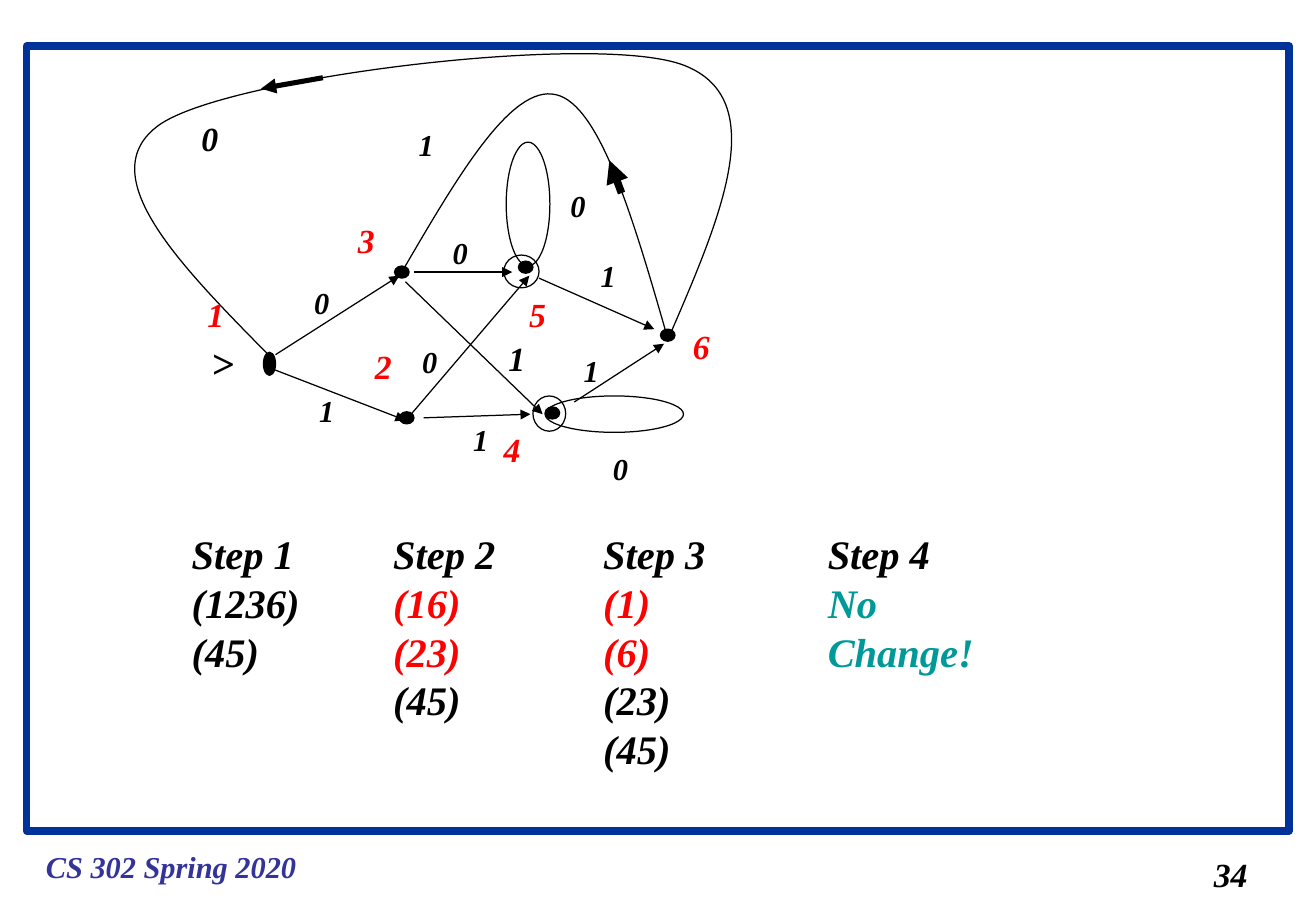
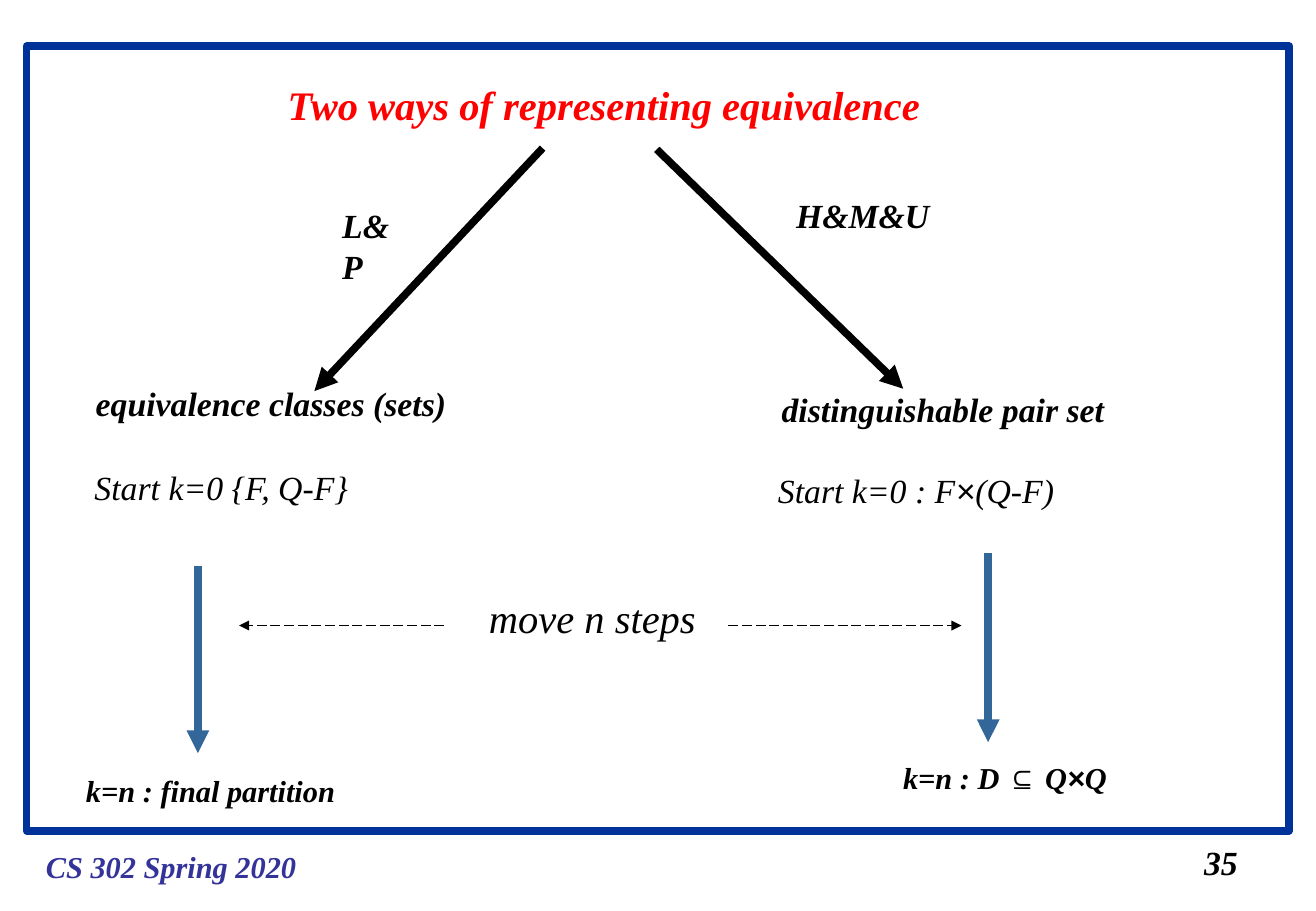
from dataclasses import dataclass

from lxml.etree import SubElement
from pptx import Presentation
from pptx.dml.color import RGBColor
from pptx.enum.dml import MSO_LINE
from pptx.enum.shapes import MSO_CONNECTOR, MSO_SHAPE
from pptx.enum.text import MSO_ANCHOR, MSO_AUTO_SIZE, PP_ALIGN
from pptx.oxml.ns import qn
from pptx.util import Inches, Pt

CELL = 0.1
BLACK, RED, TEAL = "000000", "FF0000", "009999"
FRAME_BLUE, FOOTER_BLUE, STEEL = "003399", "333399", "336699"
SERIF = {"name": "Times New Roman", "size": 20, "bold": True, "italic": True, "color": BLACK}
SYMBOL = {"name": "Arial"}


@dataclass
class Area:
    """A region of the page, measured in square grid cells from its corner."""
    left: float
    top: float

    def point(self, column, row):
        """Return the page position of a grid point."""
        return Inches(self.left + column * CELL), Inches(self.top + row * CELL)

    def box(self, column, row, width, height):
        """Return the page box of a range of grid cells."""
        return *self.point(column, row), Inches(width * CELL), Inches(height * CELL)


PAGE = Area(0, 0)


def color(code):
    """Turn a hex string into a colour."""
    return RGBColor.from_string(code)


def format_font(font, style):
    """Apply a dict of format values to a font."""
    for name, value in style.items():
        if name == "color":
            font.color.rgb = color(value)
        else:
            setattr(font, name, Pt(value) if name == "size" else value)


def fill_text(frame, lines, style):
    """Write lines, each a list of (text, style changes), into a text frame."""
    settings = {"word_wrap": False, "auto_size": MSO_AUTO_SIZE.SHAPE_TO_FIT_TEXT,
                "vertical_anchor": MSO_ANCHOR.TOP,
                "margin_left": Inches(0.1), "margin_right": Inches(0.1),
                "margin_top": Inches(0.05), "margin_bottom": Inches(0.05)}
    for name, value in settings.items():
        setattr(frame, name, value)
    for index, line in enumerate(lines):
        para = frame.add_paragraph() if index else frame.paragraphs[0]
        para.alignment = PP_ALIGN.LEFT
        for text, changes in line:
            span = para.add_run()
            span.text = text
            format_font(span.font, {**SERIF, **style, **changes})


def add_text(page, area, column, row, width, content, **style):
    """Add a text box whose height follows from its lines and size."""
    lines = [[(content, {})]] if isinstance(content, str) else content
    height = 1 + len(lines) * style.get("size", SERIF["size"]) / 6
    box = page.shapes.add_textbox(*area.box(column, row, width, height))
    fill_text(box.text_frame, lines, style)
    return box


def format_outline(shape, fill=None, line=BLACK, weight=0.75):
    """Give a shape its fill and outline, without a shadow."""
    shape.shadow.inherit = False
    if fill:
        shape.fill.solid()
        shape.fill.fore_color.rgb = color(fill)
    else:
        shape.fill.background()
    shape.line.color.rgb = color(line)
    shape.line.width = Pt(weight)


def add_ellipse(page, area, column, row, width, height, fill=None):
    """Add an ellipse around a centre point."""
    place = area.box(column - width / 2, row - height / 2, width, height)
    format_outline(page.shapes.add_shape(MSO_SHAPE.OVAL, *place), fill)


def add_arrow(page, area, start, end, weight=0.75, line=BLACK, dash=None):
    """Add a straight line with a triangle at its end."""
    arrow = page.shapes.add_connector(
        MSO_CONNECTOR.STRAIGHT, *area.point(*start), *area.point(*end))
    arrow.line.color.rgb = color(line)
    arrow.line.width = Pt(weight)
    if dash:
        arrow.line.dash_style = dash
    SubElement(arrow.get_or_add_ln(), qn("a:tailEnd")).set("type", "triangle")
    SubElement(arrow.element.spPr, qn("a:effectLst"))


def add_curve(page, area, points):
    """Add a chain of cubic curves through a start and triples of points."""
    start, *others = [area.point(*point) for point in points]
    builder = page.shapes.build_freeform(*start)
    builder.add_line_segments(others, close=False)
    curve = builder.convert_to_shape()
    outline = next(curve.element.iter(qn("a:path")))
    segments = outline.findall(qn("a:lnTo"))
    for first in range(0, len(segments), 3):
        bend = SubElement(outline, qn("a:cubicBezTo"))
        for segment in segments[first:first + 3]:
            bend.append(segment[0])
            outline.remove(segment)
    format_outline(curve)


def build_master(deck, page):
    """Put the blue frame and the course name on the slide master."""
    frame = page.shapes.add_shape(MSO_SHAPE.RECTANGLE, *PAGE.box(2.2, 3.8, 104, 64.6))
    format_outline(frame, line=FRAME_BLUE, weight=4.5)
    footer = add_text(page, PAGE, 2.8, 69.3, 22.6, "CS 302 Spring 2020",
                      size=18, color=FOOTER_BLUE)
    for number, shape in enumerate((frame, footer), 100):
        shape.element.nvSpPr.cNvPr.set("id", str(number))
        deck.slide_master.shapes.element.append(shape.element)


def draw_automaton(page, area):
    """Draw the six states, their transitions and their labels."""
    dot = (1.2, 1)
    states = [(12.2, 25.95, 1, 1.9), (23.5, 30.4, *dot), (23.1, 18.4, *dot),
              (35.5, 30, *dot), (33.3, 18, *dot), (45, 23.6, *dot)]
    rings = [(32.95, 18.35, 2.9, 2.7), (35.25, 30.05, 2.7, 2.9)]
    loops = [(33.5, 12.8, 3.6, 10.2), (40.6, 30.1, 11.4, 3)]
    for state in states:
        add_ellipse(page, area, *state, fill=BLACK)
    for ring in rings + loops:
        add_ellipse(page, area, *ring)

    transitions = [
        ((12.7, 25.2), (22.9, 18.7)), ((12.5, 26.4), (23.4, 30.6)),
        ((23.4, 19.2), (34.7, 30.1)), ((23.7, 30.3), (33.6, 18.7)),
        ((24.1, 18.4), (32.2, 18.4)), ((24.9, 30.4), (33.7, 30.1)),
        ((34.4, 18.9), (43.9, 23.1)), ((37.3, 29.1), (44.7, 24.3)),
        ((41.2, 11.9), (40.2, 9.2), 4.5), ((16.6, 2.4), (11.5, 3.3), 3)]
    for transition in transitions:
        add_arrow(page, area, *transition)
    add_curve(page, area, [
        (44.9, 23.5), (42.2, 14.1), (39.4, 4.6), (35.8, 3.8),
        (32.1, 2.9), (27.6, 10.7), (23.1, 18.4)])
    add_curve(page, area, [
        (45.3, 23.3), (49.4, 13.8), (53.5, 4.2), (46.4, 1.4),
        (39.4, -1.4), (8.7, 2.3), (3.1, 6.3),
        (-2.6, 10.4), (4.9, 17.9), (12.4, 25.5)])

    labels = {
        (18, BLACK): [("0", 39.5, 32.6), ("0", 14.9, 18.9), ("1", 15.3, 27.8),
                      ("0", 26.3, 14.8), ("1", 28, 30.2), ("0", 23.8, 23.8),
                      ("0", 36, 10.9), ("1", 38.5, 16.7), ("1", 37.1, 24.5),
                      ("1", 23.5, 5.9)],
        (20, BLACK): [("1", 30.9, 23.3), ("0", 5.6, 5.2)],
        (24, BLACK): [(">", 6.4, 23.3)],
        (20, RED): [("1", 6.1, 19.7), ("2", 19.9, 24), ("3", 18.5, 13.6),
                    ("4", 30.5, 30.8), ("5", 32.6, 19.7), ("6", 46.1, 22.3)]}
    for (size, shade), group in labels.items():
        for text, column, row in group:
            add_text(page, area, column, row, 2 + size / 14.4, text, size=size, color=shade)


def draw_steps(page, area):
    """List the partition after each step, side by side."""
    steps = [
        (0, 10.9, [("(1236)", BLACK), ("(45)", BLACK)]),
        (16.6, 12.6, [("(16)", RED), ("(23)", RED), ("(45)", BLACK)]),
        (33.9, 13.8, [("(1)", RED), ("(6)", RED), ("(23)", BLACK), ("(45)", BLACK)]),
        (52.4, 18.9, [("No Change!", TEAL)])]
    for number, (column, width, classes) in enumerate(steps, 1):
        entries = [(f"Step {number}", BLACK), *classes]
        lines = [[(text, {"color": shade})] for text, shade in entries]
        add_text(page, area, column, 0, width, lines, size=24)


def draw_branch(page, area, texts, slant, descent, pointer):
    """Draw one way of representing equivalence, from its authors to its result."""
    for text in texts:
        column, row, width, content, style = text
        add_text(page, area, column, row, width, content, **style)
    add_arrow(page, area, *slant, weight=4.5)
    add_arrow(page, area, *descent, weight=4.5, line=STEEL)
    add_arrow(page, area, *pointer, dash=MSO_LINE.LONG_DASH)


def build_partition_page(page):
    """Fill the page with the automaton and its partition steps."""
    draw_automaton(page, Area(1, 0.4))
    draw_steps(page, Area(1.48, 4.31))
    add_text(page, PAGE, 99, 69.8, 4.8, "34")


def build_equivalence_page(page):
    """Fill the page with the title and the two branches."""
    title = page.shapes.title
    place = PAGE.box(22.7, 6.1, 55, 5)
    for name, value in zip(("left", "top", "width", "height"), place):
        setattr(title, name, value)
    fill_text(title.text_frame, [[("Two ways of representing equivalence", {})]],
              {"size": 24, "color": RED})

    plain, small = {"bold": False}, {"size": 18}
    product = [[("Start k=0 : F", {}), ("×", SYMBOL), ("(Q-F)", {})]]
    subset = [[("k=n : D ", {}), ("⊆", SYMBOL), (" Q", {}), ("×", SYMBOL), ("Q", {})]]
    draw_branch(
        page, Area(0.6, 1.2),
        [(21.2, 4.4, 7.5, "L&P", {}),
         (0.9, 19, 30.9, "equivalence classes (sets)", {}),
         (0.8, 25.9, 23.9, "Start k=0 {F, Q-F}", plain),
         (0.1, 51.1, 25.2, "k=n : final partition", small)],
        slant=((38.7, 0.2), (19.9, 20.2)),
        descent=((10.3, 34.6), (10.3, 50)),
        pointer=((30.6, 39.5), (13.7, 39.5)))
    draw_branch(
        page, Area(6.3, 1.2),
        [(1.6, 3.5, 13, "H&M&U", {}),
         (0.4, 19.5, 28.6, "distinguishable pair set", {}),
         (0.1, 26.2, 25.3, product, plain),
         (10.4, 50, 18.8, subset, small)],
        slant=((-8.9, 0.3), (11.4, 20)),
        descent=((18.4, 33.5), (18.4, 49.1)),
        pointer=((-3, 39.5), (16.2, 39.5)))
    add_text(page, PAGE, 39.3, 48.3, 19, "move n steps", size=24, bold=False)
    add_text(page, PAGE, 98.2, 68.8, 4.8, "35")


def main():
    """Build and save the deck."""
    deck = Presentation()
    deck.slide_width, deck.slide_height = Inches(10.84), Inches(7.5)
    title_only, blank = deck.slide_layouts[5], deck.slide_layouts[6]
    partition_page = deck.slides.add_slide(blank)
    build_master(deck, partition_page)
    build_partition_page(partition_page)
    build_equivalence_page(deck.slides.add_slide(title_only))
    deck.save("out.pptx")


if __name__ == "__main__":
    main()
